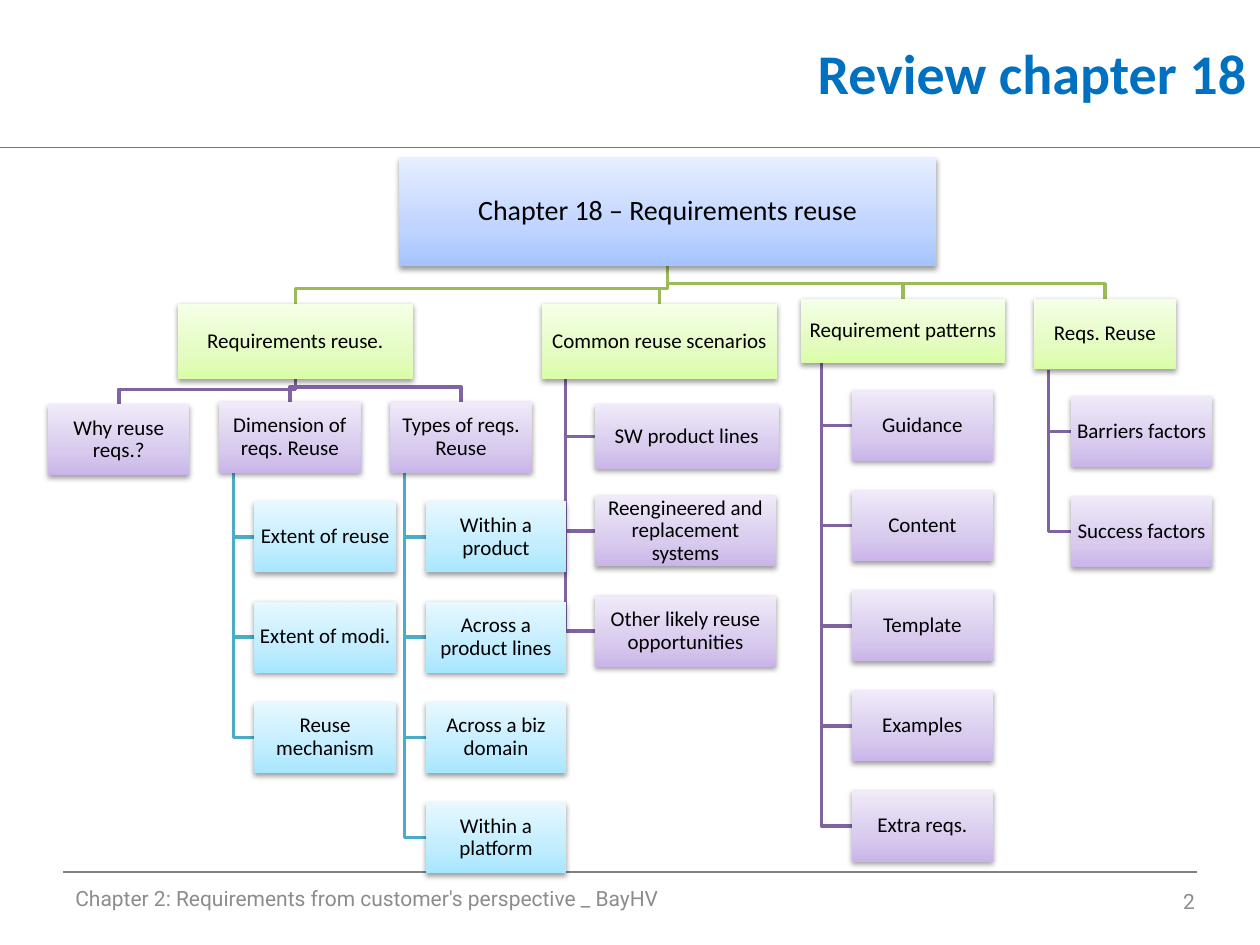
from dataclasses import dataclass, field

from lxml.etree import SubElement
from pptx import Presentation
from pptx.dml.color import RGBColor
from pptx.enum.shapes import MSO_CONNECTOR as Connector, MSO_SHAPE as Shape
from pptx.enum.text import MSO_ANCHOR as Anchor, PP_ALIGN as Align
from pptx.oxml import parse_xml
from pptx.oxml.ns import nsdecls, qn
from pptx.util import Cm, Pt


class Theme:
    heading_font, footer_font = "Calibri", "Roboto"
    title_size, root_size, box_size, footer_size = 32, 16, 12, 12
    title, text, footer = "0070C0", "000000", "8C8C8C"
    title_rule, footer_rule = "4B7EBC", "808080"
    # One entry per tree level: gradient from bottom to top
    fills = [("A4C4FF", "BFD4FF", "E6EEFF"), ("DAFDA7", "E4FCC2", "F5FFE7"),
             ("C9B5E8", "D8CBEE", "F0EAF9"), ("A7E6FF", "C1EDFF", "E7F8FF")]
    # Colour of the links that lead into each level
    links = [None, "9BBB59", "8064A2", "4BACC6"]
    link_width, rule_width = 2, 0.75


@dataclass
class Node:
    label: str
    left: float
    top: float
    width: float = 2.85
    height: float = 1.43
    children: list = field(default_factory=list)
    hanging: bool = True  # children hang in a column, or fan out in a row


PITCH = 2.02   # from one stacked box to the next
ELBOW = 0.3    # height of the last leg of a fanned link
STEM = 0.1     # position of a hanging stem along the parent's width


def column(left, top, labels, width=2.85):
    return [Node(label, left, top + row * PITCH, width)
            for row, label in enumerate(labels)]


# Content: lengths in centimetres
TITLE = "Review chapter 18"
FOOTER = "Chapter 2: Requirements from customer's perspective _ BayHV"
PAGE = "2"

requirements_reuse = Node("Requirements reuse.", 3.58, 6.12, 4.75, 1.52, [
    Node("Why reuse reqs.?", 0.97, 8.15),
    Node("Dimension of reqs. Reuse", 4.42, 8.1, children=column(
        5.13, 10.11, ["Extent of reuse", "Extent of modi.", "Reuse mechanism"])),
    Node("Types of reqs. Reuse", 7.87, 8.1, children=column(
        8.59, 10.11, ["Within a product", "Across a product lines",
                      "Across a biz domain", "Within a platform"], 2.82)),
], hanging=False)

scenarios = Node("Common reuse scenarios", 10.92, 6.12, 4.75, 1.52, [
    Node("SW product lines", 11.99, 8.15, 3.71, 1.3),
    *column(11.99, 9.99, ["Reengineered and replacement systems",
                          "Other likely reuse opportunities"], 3.66),
])

patterns = Node("Requirement patterns", 16.15, 6.02, 4.11, 1.3, column(
    17.17, 7.86, ["Guidance", "Content", "Template", "Examples", "Extra reqs."]))

factors = Node("Reqs. Reuse", 20.85, 6.02, children=column(
    21.59, 7.98, ["Barriers factors", "Success factors"]))

chapter = Node("Chapter 18 – Requirements reuse", 8.05, 3.18, 10.82, 2.18,
               [requirements_reuse, scenarios, patterns, factors], hanging=False)


def colour(value):
    return RGBColor.from_string(value)


def write(shape, text, size, font, text_colour, align, bold=False):
    frame = shape.text_frame
    frame.text = text
    frame.word_wrap = True
    frame.vertical_anchor = Anchor.MIDDLE
    paragraph = frame.paragraphs[0]
    paragraph.alignment = align
    style = paragraph.runs[0].font
    style.size, style.name, style.bold = Pt(size), font, bold
    style.color.rgb = colour(text_colour)
    return paragraph


def add_text(slide, place, *style, **options):
    write(slide.shapes.add_textbox(*map(Cm, place)), *style, **options)


def add_rule(slide, left, right, top, line_colour):
    rule = slide.shapes.add_connector(
        Connector.STRAIGHT, Cm(left), Cm(top), Cm(right), Cm(top))
    rule.line.color.rgb = colour(line_colour)
    rule.line.width = Pt(Theme.rule_width)
    SubElement(rule._element.spPr, qn("a:effectLst"))


def set_gradient(shape, colours):
    stops = "".join(
        f'<a:gs pos="{position}"><a:srgbClr val="{value}"/></a:gs>'
        for position, value in zip((0, 35000, 100000), colours))
    shape.fill.background()
    properties = shape._element.spPr
    properties.replace(properties.find(qn("a:noFill")), parse_xml(
        f'<a:gradFill {nsdecls("a")} rotWithShape="1"><a:gsLst>{stops}</a:gsLst>'
        '<a:lin ang="16200000" scaled="0"/></a:gradFill>'))


def set_shadow(shape):
    shape.shadow.inherit = False
    shape._element.spPr.find(qn("a:effectLst")).append(parse_xml(
        f'<a:outerShdw {nsdecls("a")} blurRad="40000" dist="20000" dir="5400000" '
        'rotWithShape="0"><a:srgbClr val="000000"><a:alpha val="38000"/>'
        '</a:srgbClr></a:outerShdw>'))


def link_points(parent, child):
    bottom = parent.top + parent.height
    if parent.hanging:
        stem = parent.left + parent.width * STEM
        middle = child.top + child.height / 2
        return [(stem, bottom), (stem, middle), (child.left, middle)]
    start = parent.left + parent.width / 2
    end = child.left + child.width / 2
    bend = child.top - ELBOW
    return [(start, bottom), (start, bend), (end, bend), (end, child.top)]


def draw_links(slide, node, level=0):
    for child in reversed(node.children):
        draw_links(slide, child, level + 1)
        first, *rest = [(Cm(x), Cm(y)) for x, y in link_points(node, child)]
        builder = slide.shapes.build_freeform(*first)
        builder.add_line_segments(rest, close=False)
        link = builder.convert_to_shape()
        link.fill.background()
        link.line.color.rgb = colour(Theme.links[level + 1])
        link.line.width = Pt(Theme.link_width)
        link.shadow.inherit = False


def draw_boxes(slide, node, level=0):
    box = slide.shapes.add_shape(
        Shape.RECTANGLE, Cm(node.left), Cm(node.top), Cm(node.width), Cm(node.height))
    set_gradient(box, Theme.fills[level])
    box.line.fill.background()
    set_shadow(box)
    frame = box.text_frame
    frame.margin_left = frame.margin_right = Cm(0.03)
    frame.margin_top = frame.margin_bottom = Cm(0.03)
    size = Theme.box_size if level else Theme.root_size
    paragraph = write(box, node.label, size, Theme.heading_font, Theme.text, Align.CENTER)
    paragraph.line_spacing = 0.9
    for child in node.children:
        draw_boxes(slide, child, level + 1)


def main():
    presentation = Presentation()
    presentation.slide_width, presentation.slide_height = Cm(25.4), Cm(19.05)
    slide = presentation.slides.add_slide(presentation.slide_layouts[6])

    # Rules, title and footer
    add_rule(slide, 0, 25.4, 2.97, Theme.title_rule)
    add_rule(slide, 1.27, 24.13, 17.58, Theme.footer_rule)
    add_text(slide, (7.37, 0, 18.01, 2.92), TITLE, Theme.title_size,
             Theme.heading_font, Theme.title, Align.RIGHT, bold=True)
    footer_style = (Theme.footer_size, Theme.footer_font, Theme.footer)
    add_text(slide, (1.27, 17.6, 16.94, 1.02), FOOTER, *footer_style, Align.LEFT)
    add_text(slide, (18.42, 17.65, 5.92, 1.02), PAGE, *footer_style, Align.RIGHT)

    # Tree: links behind boxes
    draw_links(slide, chapter)
    draw_boxes(slide, chapter)
    presentation.save("out.pptx")


if __name__ == "__main__":
    main()
